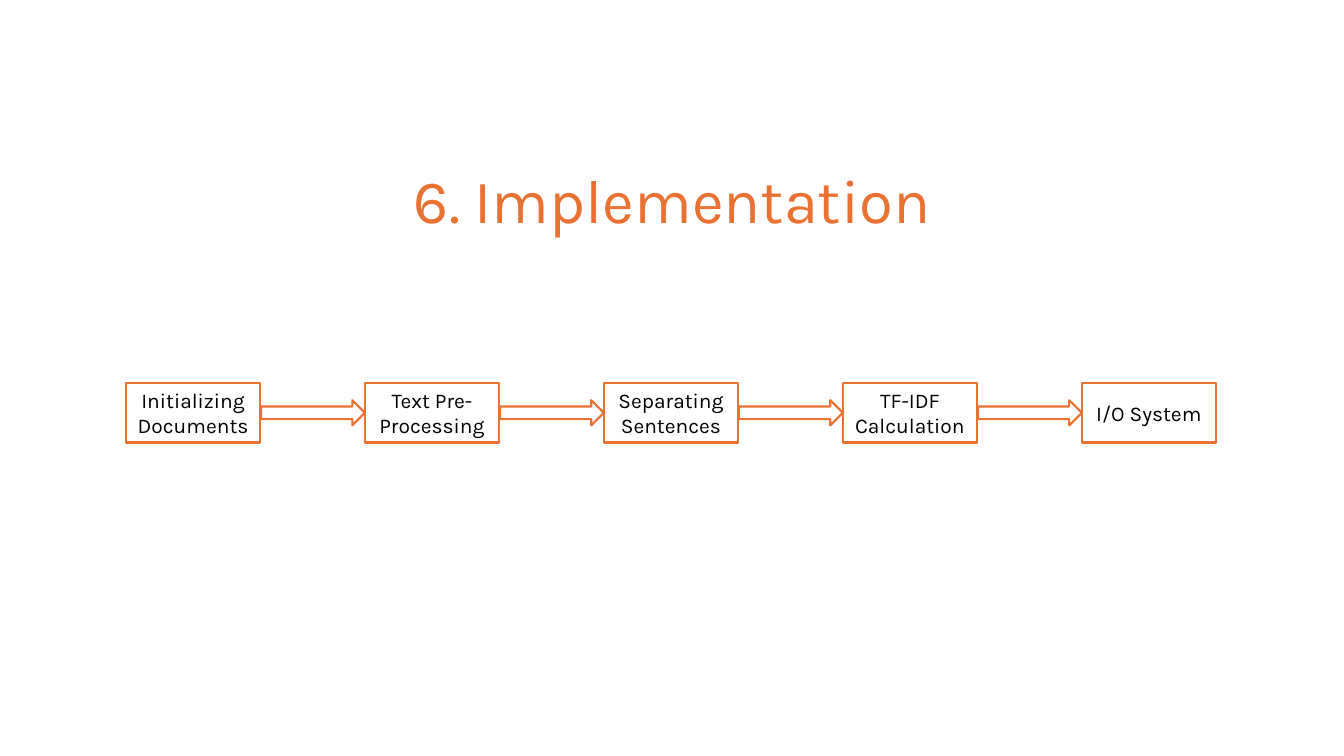
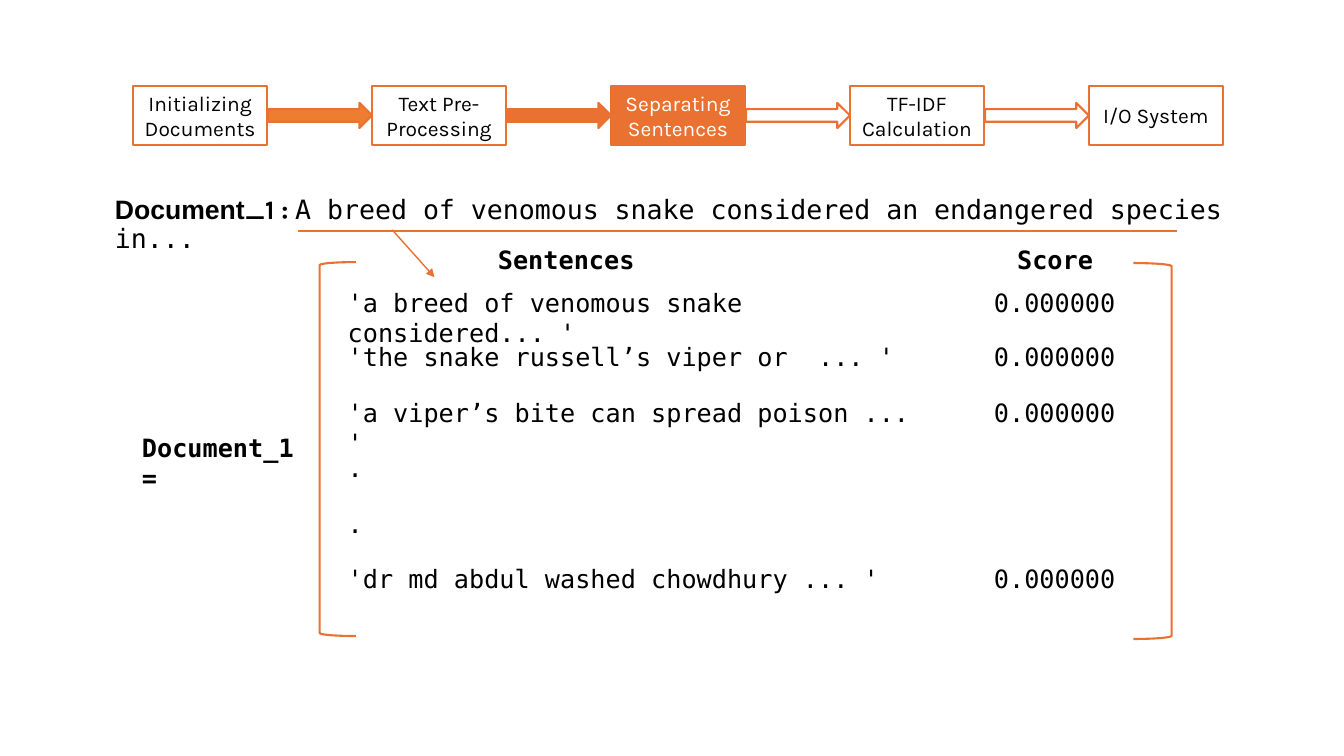
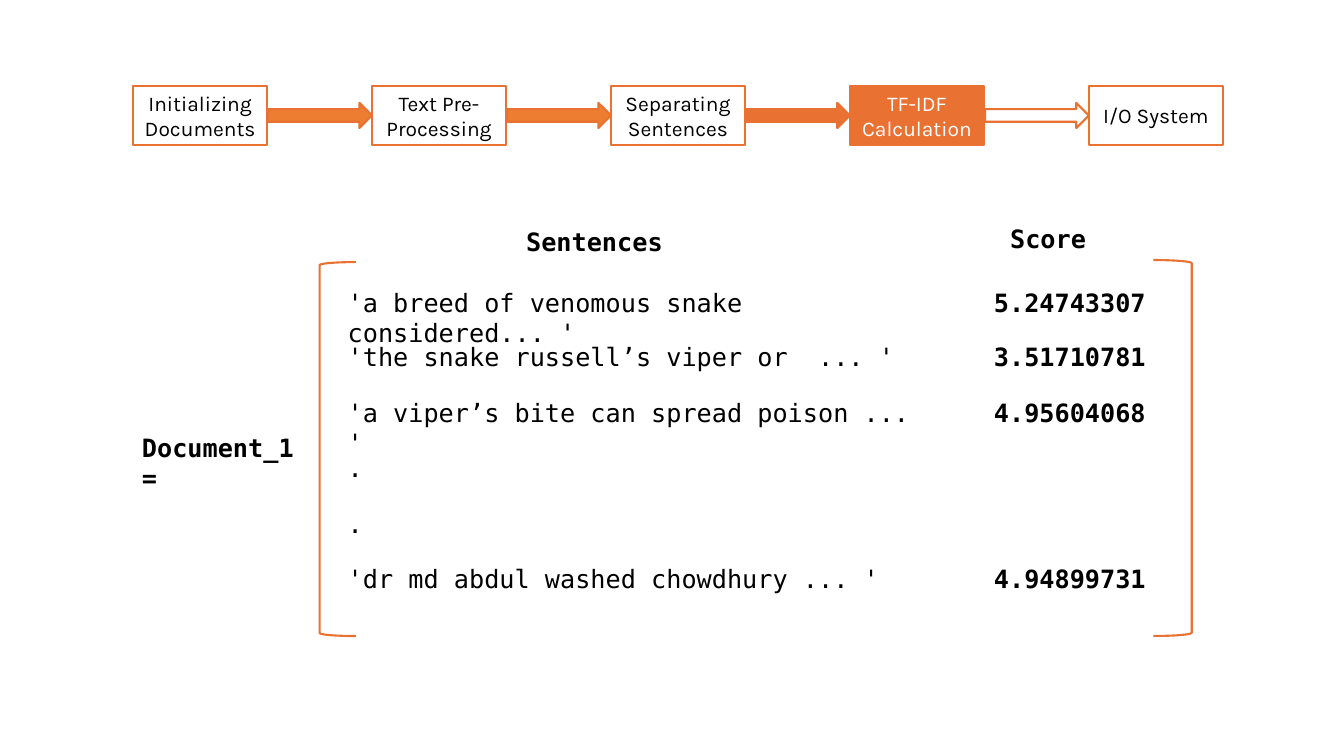
"""Build three slides on the steps of scoring sentences with TF-IDF."""
import pptx
import pptx.util
import pptx.dml.color
import pptx.enum.shapes
import pptx.enum.text
import pptx.oxml
import lxml.etree

PX = 9144
WIDE, HIGH = 1333, 750
ACCENT, DONE, WHITE, BLACK = "E97132", "ED7D31", "FFFFFF", "000000"
SANS, MONO = "Karla", "DejaVu Sans Mono"
FORM = pptx.enum.shapes.MSO_SHAPE
ALIGN = pptx.enum.text.PP_ALIGN
ANCHOR = pptx.enum.text.MSO_ANCHOR
FIT = pptx.enum.text.MSO_AUTO_SIZE

TITLE = "6. Implementation"
STEPS = ["Initializing Documents", "Text Pre-Processing", "Separating Sentences",
         "TF-IDF Calculation", "I/O System"]
LEAD = [("Document", "Arial", True), ("_1 : ", SANS, True),
        ("A breed of venomous snake considered an endangered species in...", MONO, False)]
LINES = ["'a breed of venomous snake considered... '",
         "'the snake russell’s viper or  ... '",
         "'a viper’s bite can spread poison ... '",
         ".", ".",
         "'dr md abdul washed chowdhury ... '"]
NAME = "Document_1 ="
ZEROS = ["0.000000", "0.000000", "0.000000", "", "", "0.000000"]
SCORES = ["5.24743307", "3.51710781", "4.95604068", "", "", "4.94899731"]


def px(*nums):
    return [pptx.util.Emu(num * PX) for num in nums]


def color(code):
    return pptx.dml.color.RGBColor.from_string(code)


def style(font, face, size, code=BLACK, bold=False):
    font.name, font.size, font.bold = face, pptx.util.Pt(size), bold
    font.color.rgb = color(code)


def place(shape, *spot):
    shape.left, shape.top, shape.width, shape.height = px(*spot)


def draw(slide, form, spot, fill=None):
    shape = slide.shapes.add_shape(form, *px(*spot))
    shape.shadow.inherit = False
    if fill:
        shape.fill.solid()
        shape.fill.fore_color.rgb = color(fill)
    else:
        shape.fill.background()
    shape.line.color.rgb = color(ACCENT)
    shape.line.width = pptx.util.Pt(1.5)
    return shape


def flow(slide, left, top, now=-1):
    pitch, width = 237, 133
    for i, step in enumerate(STEPS):
        fill, ink = (ACCENT, WHITE) if i == now else (WHITE, BLACK)
        box = draw(slide, FORM.RECTANGLE, (left + i * pitch, top, width, 59), fill)
        frame = box.text_frame
        frame.text, frame.word_wrap = step, True
        frame.vertical_anchor = ANCHOR.MIDDLE
        par = frame.paragraphs[0]
        par.alignment = ALIGN.CENTER
        style(par.font, SANS, 15, ink)
    for i in range(len(STEPS) - 1):
        fill = WHITE if i >= now else ACCENT if i == now - 1 else DONE
        draw(slide, FORM.RIGHT_ARROW, (left + i * pitch + width + 1, top + 17, 103, 25), fill)


def label(slide, text, left, top, width=190, bold=False):
    frame = slide.shapes.add_textbox(*px(left, top, width, 40)).text_frame
    frame.word_wrap, frame.auto_size = True, FIT.SHAPE_TO_FIT_TEXT
    frame.text = text
    style(frame.paragraphs[0].font, MONO, 18, bold=bold)


def matrix(slide, scores, bold, right, heads):
    draw(slide, FORM.RIGHT_BRACKET, (*right, 38, 373))
    draw(slide, FORM.LEFT_BRACKET, (317, 260, 36, 371))
    for i, (line, score) in enumerate(zip(LINES, scores)):
        top = 280 + i * 274 // 5
        label(slide, line, 335, top, 602)
        if score:
            label(slide, score, 976, top, bold=bold)
    for text, spot in zip(("Sentences", "Score"), heads):
        label(slide, text, *spot, bold=True)
    label(slide, NAME, 131, 424, bold=True)


def rule(slide, ends, head=False):
    line = slide.shapes.add_connector(pptx.enum.shapes.MSO_CONNECTOR.STRAIGHT, *px(*ends))
    line.line.color.rgb = color(ACCENT)
    line.line.width = pptx.util.Pt(1)
    tag = pptx.oxml.ns.qn
    props = line._element.spPr
    if head:
        lxml.etree.SubElement(props.find(tag("a:ln")), tag("a:tailEnd"), type="triangle")
    lxml.etree.SubElement(props, tag("a:effectLst"))


def opening(slide):
    title = slide.shapes.title
    place(title, 92, 129, 1150, 145)
    title.text = TITLE
    title.text_frame.vertical_anchor = ANCHOR.MIDDLE
    par = title.text_frame.paragraphs[0]
    par.alignment, par.line_spacing = ALIGN.CENTER, 0.9
    style(par.font, SANS, 44, ACCENT)
    flow(slide, 125, 380)


def split(slide):
    title = slide.shapes.title._element
    title.getparent().remove(title)
    body = slide.placeholders[1]
    place(body, 104, 190, 1140, 529)
    body.text_frame.auto_size = FIT.NONE
    par = body.text_frame.paragraphs[0]
    par.line_spacing, par.space_before = 0.9, pptx.util.Pt(10)
    props = par._p.get_or_add_pPr()
    props.set("marL", "0")
    props.set("indent", "0")
    lxml.etree.SubElement(props, pptx.oxml.ns.qn("a:buNone"))
    for text, face, bold in LEAD:
        run = par.add_run()
        run.text = text
        style(run.font, face, 19, bold=bold)
    flow(slide, 132, 85, 2)
    matrix(slide, ZEROS, False, (1124, 261), [(484, 237), (999, 237)])
    rule(slide, (389, 228, 431, 275), True)
    rule(slide, (296, 229, 1167, 229))


def rating(slide):
    flow(slide, 132, 85, 3)
    matrix(slide, SCORES, True, (1144, 258), [(512, 220), (992, 217)])


def main():
    deck = pptx.Presentation()
    deck.slide_width, deck.slide_height = px(WIDE, HIGH)
    for layout, build in ((5, opening), (1, split), (6, rating)):
        build(deck.slides.add_slide(deck.slide_layouts[layout]))
    deck.save("out.pptx")


if __name__ == "__main__":
    main()
